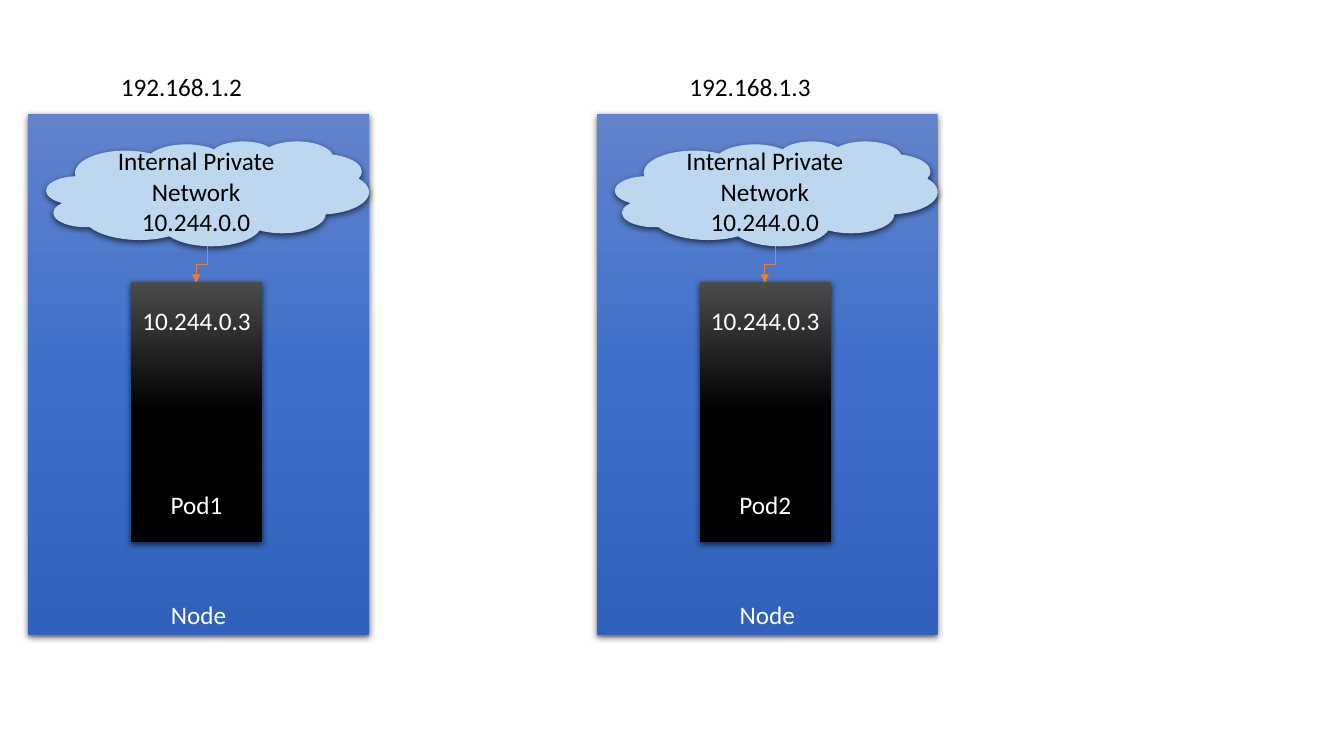
import copy
from dataclasses import dataclass

import pptx
import pptx.dml.color
import pptx.enum.shapes
import pptx.enum.text
import pptx.oxml
import pptx.oxml.ns
import pptx.util

EMU_PER_PX = 9144  # 100 px to the inch
FONT = "Calibri"
COLORS = {
    "node": ("6183CB", "3E70CA", "3062BB"),
    "pod": ("4B4B4B", "000000", "000000"),
    "cloud": "BDD7EE",
    "arrow": "ED7D31",
    "light": "FFFFFF",
    "dark": "000000",
}
POD_TEXT_GAP = 110  # points between the pod's address and its name
SHAPES = pptx.enum.shapes.MSO_SHAPE
ANCHORS = pptx.enum.text.MSO_ANCHOR
ALIGNS = pptx.enum.text.PP_ALIGN


@dataclass(frozen=True)
class Box:
    left: int
    top: int
    width: int
    height: int

    def emu(self, shift: int = 0) -> tuple[int, int, int, int]:
        return (px(self.left + shift), px(self.top), px(self.width), px(self.height))


@dataclass(frozen=True)
class Node:
    shift: int
    address: str
    pod: str


NODE_BOX = Box(28, 113, 338, 517)
ADDRESS_BOX = Box(110, 66, 283, 40)
POD_BOX = Box(130, 280, 130, 258)
CLOUD_BOX = Box(46, 140, 320, 104)
ARROW_BOX = Box(182, 257, 36, 11)  # before its quarter turn
NODES = (
    Node(0, "192.168.1.2", "Pod1"),
    Node(564, "192.168.1.3", "Pod2"),
)


def px(length: int) -> int:
    return pptx.util.Emu(length * EMU_PER_PX)


def rgb(value: str) -> pptx.dml.color.RGBColor:
    return pptx.dml.color.RGBColor.from_string(value)


def add_xml(parent, body: str):
    """Append an element of the drawing namespace."""
    tag, _, rest = body.partition(" ")
    element = pptx.oxml.parse_xml(f"<a:{tag} {pptx.oxml.ns.nsdecls('a')} {rest}")
    parent.append(element)


def write(shape, *lines: str, color: str, align=ALIGNS.CENTER,
          anchor=ANCHORS.MIDDLE, gap: int = 0) -> None:
    frame = shape.text_frame
    frame.word_wrap = True
    frame.vertical_anchor = anchor
    for index, line in enumerate(lines):
        paragraph = frame.add_paragraph() if index else frame.paragraphs[0]
        paragraph.alignment = align
        if index and gap:
            paragraph.space_before = pptx.util.Pt(gap)
        run = paragraph.add_run()
        run.text = line
        run.font.name = FONT
        run.font.size = pptx.util.Pt(18)
        run.font.color.rgb = rgb(color)


def fill_gradient(shape, colors: tuple[str, ...]) -> None:
    shape.fill.gradient()
    shape.fill.gradient_angle = 270
    stop_list = shape._element.spPr.find(".//" + pptx.oxml.ns.qn("a:gsLst"))
    stop_list.insert(1, copy.deepcopy(stop_list[0]))
    for index, (stop, color) in enumerate(zip(shape.fill.gradient_stops, colors)):
        stop.color.rgb = rgb(color)
        stop.position = index / (len(colors) - 1)


def add_shadowed(slide, kind, box: Box, shift: int, fill: str | tuple[str, ...]):
    shape = slide.shapes.add_shape(kind, *box.emu(shift))
    if isinstance(fill, tuple):
        fill_gradient(shape, fill)
    else:
        shape.fill.solid()
        shape.fill.fore_color.rgb = rgb(fill)
    shape.line.fill.background()
    shape.shadow.inherit = False
    effects = shape._element.spPr.find(pptx.oxml.ns.qn("a:effectLst"))
    add_xml(effects, 'outerShdw blurRad="57150" dist="19050" dir="5400000" '
                     'algn="ctr" rotWithShape="0"><a:srgbClr val="000000">'
                     '<a:alpha val="63000"/></a:srgbClr></a:outerShdw>')
    return shape


def add_arrow(slide, shift: int) -> None:
    left, top, width, height = ARROW_BOX.emu(shift)
    arrow = slide.shapes.add_connector(
        pptx.enum.shapes.MSO_CONNECTOR.ELBOW, left, top, left + width, top + height)
    arrow.line.color.rgb = rgb(COLORS["arrow"])
    arrow.line.width = pptx.util.Pt(0.5)
    properties = arrow._element.spPr
    properties.xfrm.set("rot", "5400000")
    add_xml(arrow.line._get_or_add_ln(), 'tailEnd type="triangle"/>')
    add_xml(properties, "effectLst />")


def add_node(slide, node: Node) -> None:
    # Node and its address
    host = add_shadowed(slide, SHAPES.RECTANGLE, NODE_BOX, node.shift, COLORS["node"])
    write(host, "Node", color=COLORS["light"], anchor=ANCHORS.BOTTOM)
    address = slide.shapes.add_textbox(*ADDRESS_BOX.emu(node.shift))
    write(address, node.address, color=COLORS["dark"], align=ALIGNS.LEFT,
          anchor=ANCHORS.TOP)
    address.text_frame.auto_size = pptx.enum.text.MSO_AUTO_SIZE.SHAPE_TO_FIT_TEXT

    # Pod
    pod = add_shadowed(slide, SHAPES.RECTANGLE, POD_BOX, node.shift, COLORS["pod"])
    write(pod, "10.244.0.3", node.pod, color=COLORS["light"], gap=POD_TEXT_GAP)

    # Network cloud and the arrow down to the pod
    cloud = add_shadowed(slide, SHAPES.CLOUD, CLOUD_BOX, node.shift, COLORS["cloud"])
    write(cloud, "Internal Private Network", "10.244.0.0", color=COLORS["dark"])
    add_arrow(slide, node.shift)


def main() -> None:
    deck = pptx.Presentation()
    deck.slide_width, deck.slide_height = px(1333), px(750)
    slide = deck.slides.add_slide(deck.slide_layouts[6])
    for node in NODES:
        add_node(slide, node)
    deck.save("out.pptx")


if __name__ == "__main__":
    main()
